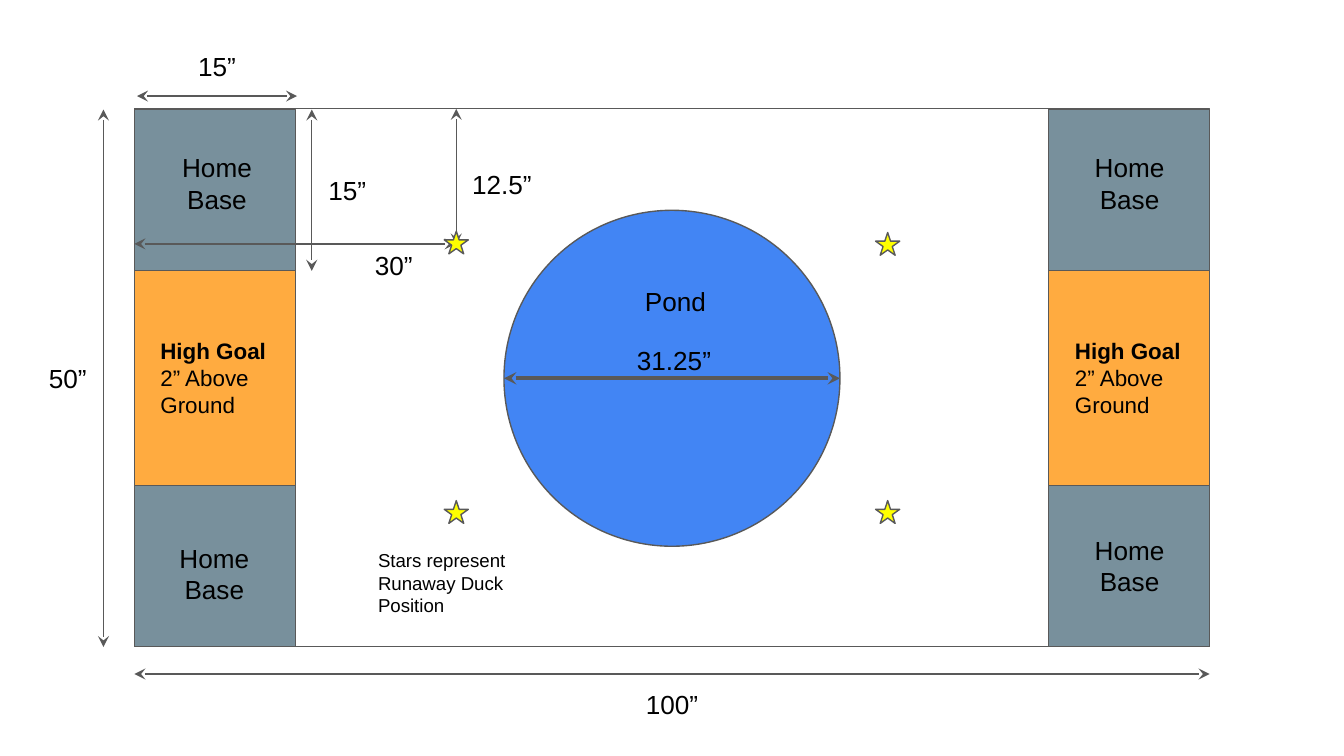
from lxml import etree
from pptx import Presentation, util as u
from pptx.dml.color import RGBColor
from pptx.enum import shapes, text
from pptx.oxml.ns import qn

# Content: lengths in px, 200 px to the inch
PX = 4572
SLIDE = (2000, 1125)
INK, BLACK = "595959", "000000"
SLATE, ORANGE, BLUE, YELLOW = "78909C", "FFAB40", "4285F4", "FFFF00"

FIELD = (200, 162, 1600, 800)
POND = (750, 313, 500, 500)
COLUMNS = (200, 1560)
ZONES = [(163, 240, SLATE), (722, 240, SLATE), (403, 320, ORANGE)]  # top, height, colour
ZONE_WIDTH = 240
STARS = [(661, 344), (661, 745), (1303, 745), (1303, 346)]
STAR_SIZE = (36, 34)

# Dimension arrows: from x, from y, to x, to y, width in points
DIMENSIONS = [
    (200, 1003, 1800, 1003, 0.75),
    (154, 163, 154, 963, 0.75),
    (750, 563, 1250, 563, 2.25),
    (204, 143, 442, 143, 0.75),
    (464, 163, 464, 403, 0.75),
    (200, 363, 678, 363, 0.75),
    (679, 162, 679, 364, 0.75),
]

# Centred labels: words, left, top, width, height
LABELS = [
    ("15”", 269, 55, 108, 88),
    ("15”", 463, 240, 108, 88),
    ("50”", 47, 519, 108, 88),
    ("100”", 932, 1004, 136, 88),
    ("30”", 532, 351, 108, 88),
    ("12.5”", 679, 230, 136, 88),
    ("Home Base", 229, 206, 188, 134),
    ("Home Base", 225, 787, 188, 134),
    ("Home Base", 1587, 206, 188, 134),
    ("Home Base", 1587, 775, 188, 134),
]
POND_LABELS = [("31.25”", 928, 492, 166, 88), ("Pond", 940, 404, 166, 88)]
GOAL_TEXT = "High Goal\n2” Above Ground"
GOAL_LABELS = [(GOAL_TEXT, 219, 482, 202, 162), (GOAL_TEXT, 1580, 482, 202, 162)]
STAR_NOTE = ("Stars represent Runaway Duck Position", 543, 797, 272, 142)

prs = Presentation()
prs.slide_width, prs.slide_height = (side * PX for side in SLIDE)
slide = prs.slides.add_slide(prs.slide_layouts[6])


def emu(*lengths):
    return [u.Emu(length * PX) for length in lengths]


def color(hex_code):
    return RGBColor.from_string(hex_code)


def add_area(kind, box, fill=None):
    area = slide.shapes.add_shape(kind, *emu(*box))
    area.shadow.inherit = False
    if fill:
        area.fill.solid()
        area.fill.fore_color.rgb = color(fill)
    else:
        area.fill.background()
    area.line.color.rgb = color(INK)
    area.line.width = u.Pt(0.75)


def add_dimension(x1, y1, x2, y2, width):
    arrow = slide.shapes.add_connector(
        shapes.MSO_CONNECTOR.STRAIGHT, *emu(x1, y1, x2, y2))
    arrow.line.color.rgb = color(INK)
    arrow.line.width = u.Pt(width)
    for end in ("a:headEnd", "a:tailEnd"):
        etree.SubElement(arrow.line._get_or_add_ln(), qn(end),
                         type="stealth", w="med", len="med")
    etree.SubElement(arrow._element.spPr, qn("a:effectLst"))


def add_label(words, *box, size=14, align=text.PP_ALIGN.LEFT, bold_first=False):
    frame = slide.shapes.add_textbox(*emu(*box)).text_frame
    frame.word_wrap = True
    frame.auto_size = text.MSO_AUTO_SIZE.SHAPE_TO_FIT_TEXT
    frame.margin_left = frame.margin_right = u.Inches(0.1)
    frame.margin_top = frame.margin_bottom = u.Inches(0.1)
    frame.text = words
    for i, paragraph in enumerate(frame.paragraphs):
        paragraph.alignment = align
        font = paragraph.runs[0].font
        font.name, font.size = "Arial", u.Pt(size)
        font.bold = bold_first and i == 0
        font.color.rgb = color(BLACK)


# Field, zones and pond
add_area(shapes.MSO_SHAPE.RECTANGLE, FIELD)
for top, height, fill in ZONES:
    for left in COLUMNS:
        add_area(shapes.MSO_SHAPE.RECTANGLE, (left, top, ZONE_WIDTH, height), fill)
add_area(shapes.MSO_SHAPE.OVAL, POND, BLUE)

# Dimensions, then the stars over their arrowheads
for dimension in DIMENSIONS:
    add_dimension(*dimension)
for corner in STARS:
    add_area(shapes.MSO_SHAPE.STAR_5_POINT, corner + STAR_SIZE, YELLOW)

# Wording
for label in LABELS:
    add_label(*label, align=text.PP_ALIGN.CENTER)
for label in POND_LABELS:
    add_label(*label)
for label in GOAL_LABELS:
    add_label(*label, size=12, bold_first=True)
add_label(*STAR_NOTE, size=10)

prs.save("out.pptx")
